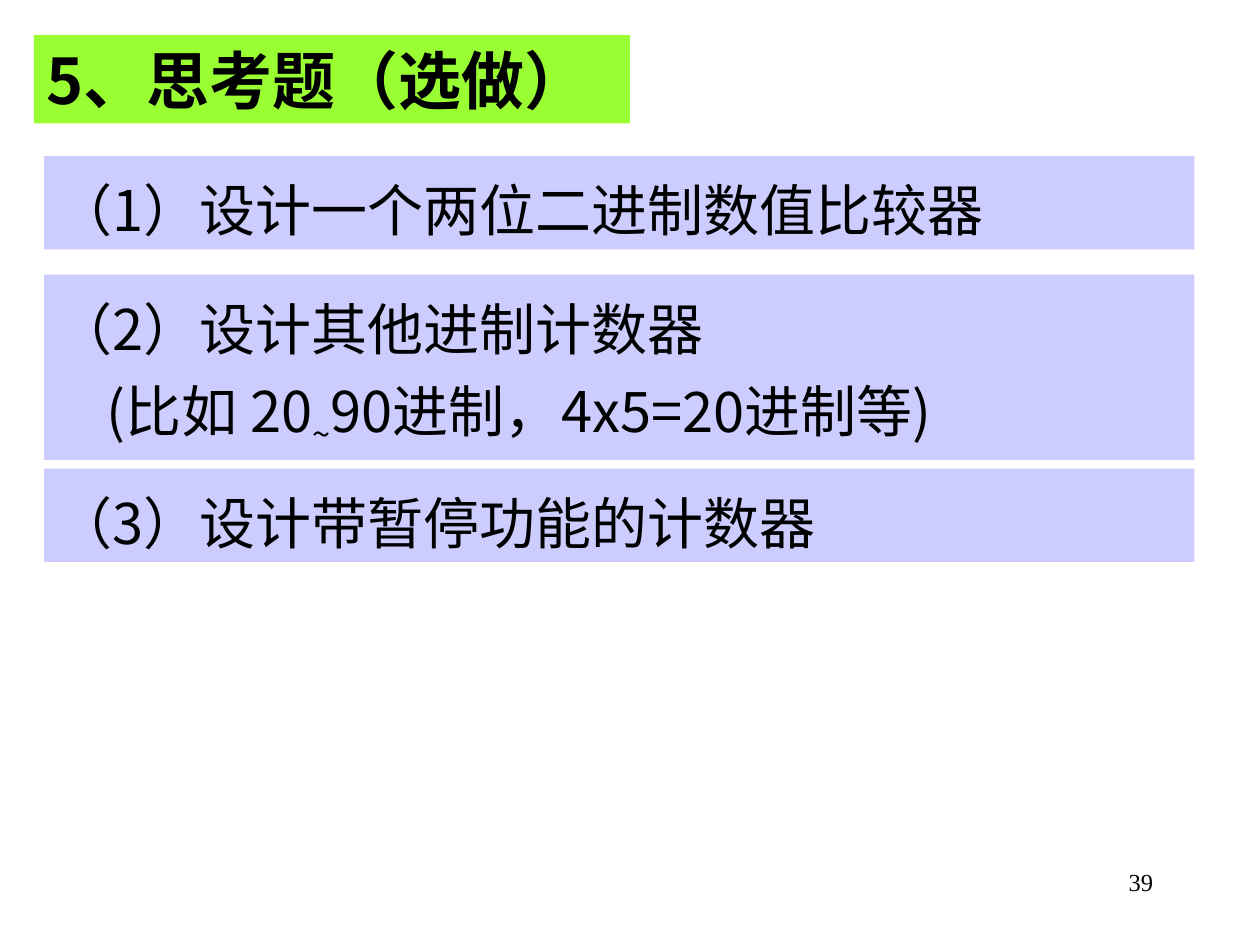
from dataclasses import dataclass

from lxml.etree import SubElement
from pptx import Presentation
from pptx.dml.color import RGBColor
from pptx.enum.shapes import MSO_SHAPE
from pptx.enum.text import MSO_ANCHOR, MSO_AUTO_SIZE, PP_ALIGN
from pptx.oxml.ns import qn
from pptx.slide import Slide
from pptx.util import Inches, Pt


@dataclass(frozen=True)
class Theme:
    text: RGBColor = RGBColor(0x00, 0x00, 0x00)
    title_fill: RGBColor = RGBColor(0x99, 0xFF, 0x33)
    question_fill: RGBColor = RGBColor(0xCC, 0xCC, 0xFF)
    font: str = "Noto Sans CJK SC"
    number_font: str = "Times New Roman"
    title_size: int = 36
    question_size: int = 32
    number_size: int = 14


@dataclass(frozen=True)
class Line:
    runs: tuple[str, ...]
    indent: float = 0


@dataclass(frozen=True)
class Panel:
    left: float
    top: float
    width: float
    height: float
    fill: RGBColor
    size: int
    lines: tuple[Line, ...]
    bold: bool = False
    spacing: float = 1.0


THEME = Theme()
SUBSCRIPT = "~"


def question(top: float, height: float, *lines: Line) -> Panel:
    return Panel(0.35, top, 9.13, height, THEME.question_fill,
                 THEME.question_size, lines, spacing=1.2)


PANELS = (
    Panel(0.27, 0.28, 4.73, 0.7, THEME.title_fill, THEME.title_size,
          (Line(("5、思考题（选做）",)),), bold=True),
    question(1.24, 0.74, Line(("（1）设计一个两位二进制数值比较器",))),
    question(2.18, 1.47, Line(("（2）设计其他进制计数器",)),
             Line(("(比如 20", SUBSCRIPT, "90进制，4x5=20进制等)"), indent=0.4)),
    question(3.72, 0.74, Line(("（3）设计带暂停功能的计数器",))),
)


def style_paragraph(paragraph, font_name: str, size: int, bold: bool = False) -> None:
    font = paragraph.font
    font.size = Pt(size)
    font.bold = bold
    font.color.rgb = THEME.text
    font.name = font_name
    properties = paragraph._p.get_or_add_pPr().find(qn("a:defRPr"))
    SubElement(properties, qn("a:ea"), typeface=font_name)


def draw_panel(slide: Slide, panel: Panel) -> None:
    shape = slide.shapes.add_shape(
        MSO_SHAPE.RECTANGLE, Inches(panel.left), Inches(panel.top),
        Inches(panel.width), Inches(panel.height))
    shape.shadow.inherit = False
    shape.fill.solid()
    shape.fill.fore_color.rgb = panel.fill
    shape.line.fill.background()
    frame = shape.text_frame
    frame.word_wrap = True
    frame.auto_size = MSO_AUTO_SIZE.SHAPE_TO_FIT_TEXT
    frame.vertical_anchor = MSO_ANCHOR.TOP
    for index, line in enumerate(panel.lines):
        paragraph = frame.add_paragraph() if index else frame.paragraphs[0]
        paragraph.alignment = PP_ALIGN.LEFT
        paragraph.line_spacing = panel.spacing
        if line.indent:
            paragraph._p.get_or_add_pPr().set("marL", str(Inches(line.indent)))
        style_paragraph(paragraph, THEME.font, panel.size, panel.bold)
        for text in line.runs:
            run = paragraph.add_run()
            run.text = text
            if text == SUBSCRIPT:
                run._r.get_or_add_rPr().set("baseline", "-25000")


def draw_page_number(slide: Slide, number: str) -> None:
    box = slide.shapes.add_textbox(Inches(7.17), Inches(6.83), Inches(2.08), Inches(0.5))
    box.text_frame.word_wrap = True
    paragraph = box.text_frame.paragraphs[0]
    paragraph.text = number
    paragraph.alignment = PP_ALIGN.RIGHT
    style_paragraph(paragraph, THEME.number_font, THEME.number_size)


def main() -> None:
    presentation = Presentation()
    presentation.slide_width = Inches(10)
    presentation.slide_height = Inches(7.5)
    slide = presentation.slides.add_slide(presentation.slide_layouts[6])
    draw_page_number(slide, "39")
    for panel in PANELS:
        draw_panel(slide, panel)
    presentation.save("out.pptx")


if __name__ == "__main__":
    main()
